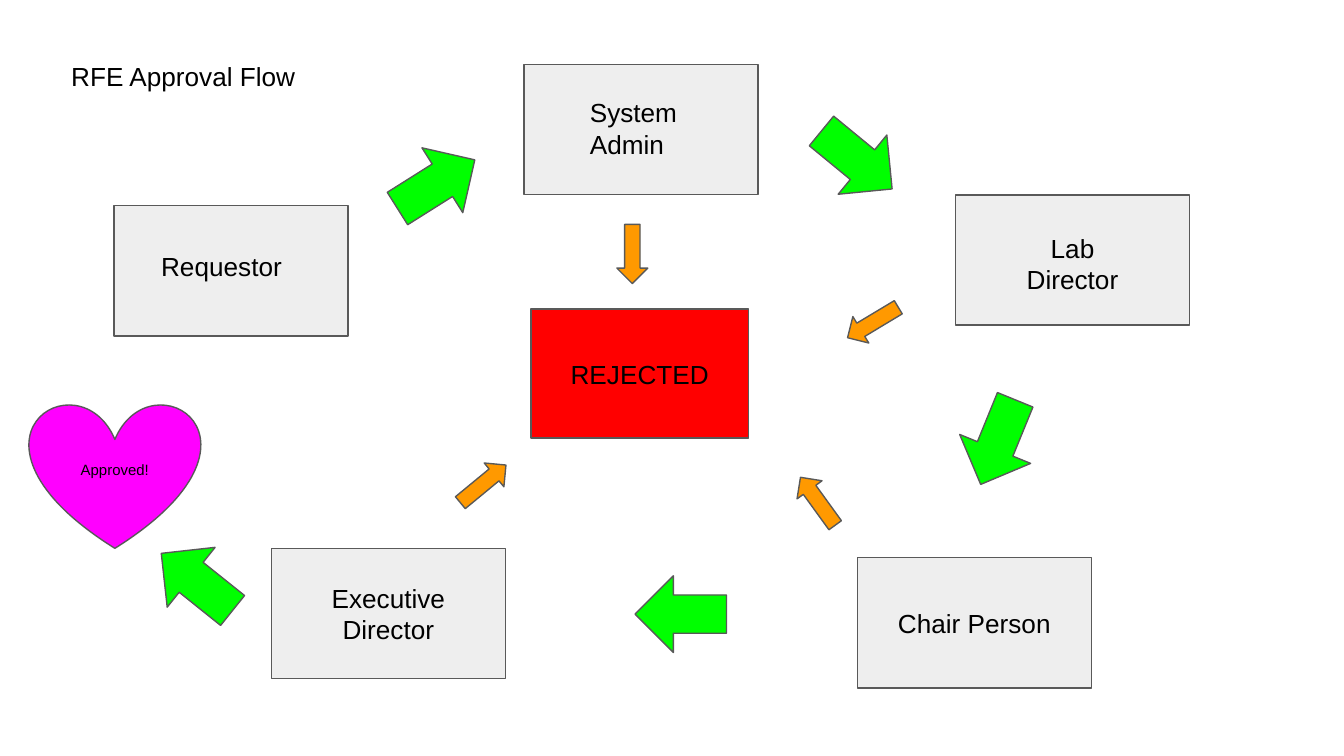
from dataclasses import dataclass
from pptx import Presentation
from pptx.dml.color import RGBColor
from pptx.enum.shapes import MSO_SHAPE
from pptx.enum.text import MSO_ANCHOR, MSO_AUTO_SIZE, PP_ALIGN
from pptx.util import Inches, Pt


@dataclass(frozen=True)
class Theme:
    font: str = "Arial"
    text: str = "000000"
    outline: str = "595959"
    step: str = "EEEEEE"
    rejected: str = "FF0000"
    approved: str = "FF00FF"
    forward: str = "00FF00"
    reject: str = "FF9900"
    body: int = 14
    small: int = 8
    line: float = 0.75


theme = Theme()
LEFT, CENTER = PP_ALIGN.LEFT, PP_ALIGN.CENTER

SLIDE_WIDTH = 10
SLIDE_HEIGHT = SLIDE_WIDTH * 9 / 16
TITLE = ("RFE Approval Flow", (0.43, 0.35, 4.13, 0.75))
STEP_SIZE = (1.74, 0.97)
STEPS = [
    (0.85, 1.53, ""),
    (3.9, 0.48, ""),
    (7.11, 1.45, ""),
    (6.38, 4.15, "Chair Person"),
    (2.02, 4.08, "Executive Director"),
]
LABELS = [
    (["Requestor"], (1.1, 1.76, 1.22, 0.48), LEFT),
    (["System", "Admin"], (4.29, 0.62, 1.11, 0.48), LEFT),
    (["Lab Director"], (7.44, 1.63, 1.08, 0.56), CENTER),
]
REJECTED = ("REJECTED", (3.95, 2.3, 1.62, 0.96))
APPROVED = ("Approved!", (0.22, 3, 1.27, 1.08))
ARROWS = [
    (theme.forward, (0.57, 0.68), [
        (1.18, 3.99, 128.7),
        (4.78, 4.23, 90),
        (2.96, 1.03, 237.8),
        (6.09, 0.85, 309.4),
        (7.14, 2.95, 22.2),
    ]),
    (theme.reject, (0.23, 0.44), [
        (4.59, 1.67, 0),
        (6.38, 2.18, 59),
        (5.97, 3.51, 144.1),
        (3.48, 3.38, 230.5),
    ]),
]


def box(at):
    return [Inches(v) for v in at]


def write(sp, lines, align, anchor, size=theme.body):
    tf = sp.text_frame
    tf.word_wrap = True
    tf.auto_size = MSO_AUTO_SIZE.NONE
    tf.vertical_anchor = anchor
    tf.margin_left = tf.margin_right = Inches(0.1)
    tf.margin_top = tf.margin_bottom = Inches(0.1)
    for i, line in enumerate(lines):
        p = tf.add_paragraph() if i else tf.paragraphs[0]
        p.alignment = align
        r = p.add_run()
        r.text = line
        r.font.name = theme.font
        r.font.size = Pt(size)
        r.font.color.rgb = RGBColor.from_string(theme.text)


def add_shape(s, kind, at, fill, text="", size=theme.body):
    sp = s.shapes.add_shape(kind, *box(at))
    sp.shadow.inherit = False
    sp.fill.solid()
    sp.fill.fore_color.rgb = RGBColor.from_string(fill)
    sp.line.color.rgb = RGBColor.from_string(theme.outline)
    sp.line.width = Pt(theme.line)
    if text:
        write(sp, [text], CENTER, MSO_ANCHOR.MIDDLE, size)
    return sp


prs = Presentation()
prs.slide_width, prs.slide_height = Inches(SLIDE_WIDTH), Inches(SLIDE_HEIGHT)
s = prs.slides.add_slide(prs.slide_layouts[5])

text, at = TITLE
title = s.shapes.title
title.left, title.top, title.width, title.height = box(at)
write(title, [text], LEFT, MSO_ANCHOR.TOP)

for x, y, text in STEPS:
    add_shape(s, MSO_SHAPE.RECTANGLE, (x, y, *STEP_SIZE), theme.step, text)

text, at = REJECTED
add_shape(s, MSO_SHAPE.RECTANGLE, at, theme.rejected, text)

for lines, at, align in LABELS:
    write(s.shapes.add_textbox(*box(at)), lines, align, MSO_ANCHOR.TOP)

text, at = APPROVED
add_shape(s, MSO_SHAPE.HEART, at, theme.approved, text, theme.small)

for color, size, places in ARROWS:
    for x, y, angle in places:
        arrow = add_shape(s, MSO_SHAPE.DOWN_ARROW, (x, y, *size), color)
        arrow.rotation = angle

prs.save("out.pptx")
